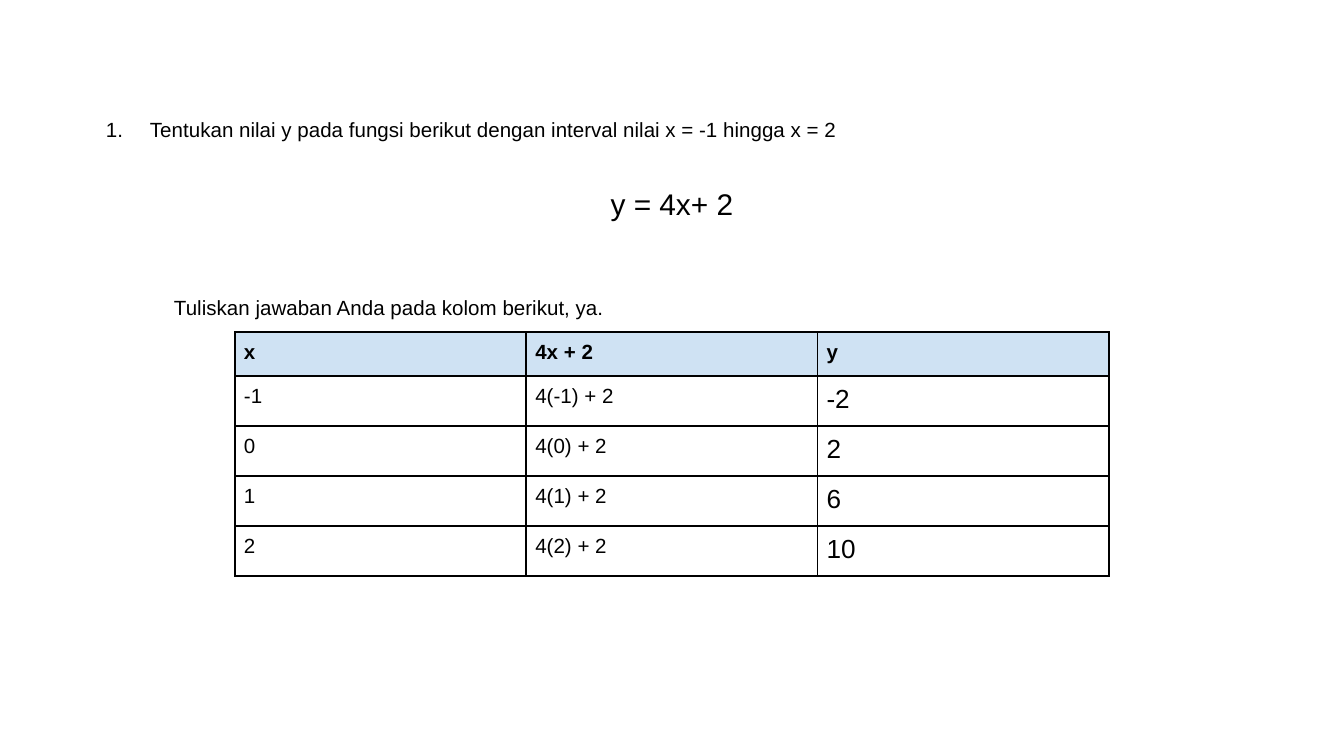
from dataclasses import dataclass
from lxml.etree import SubElement
from pptx import Presentation
from pptx.dml.color import RGBColor
from pptx.enum.text import MSO_ANCHOR, PP_ALIGN
from pptx.oxml import parse_xml
from pptx.oxml.ns import nsdecls, qn
from pptx.util import Pt


@dataclass(frozen=True)
class Theme:
    font: str = "Arial"
    ink: str = "000000"
    head: str = "CFE2F3"
    body: int = 11
    value: int = 14
    large: int = 16
    rule: int = 1


THEME = Theme()
SCALE = 914400 / 134.4


def px(size):
    return round(size * SCALE)


def write(para, text, size=THEME.body, bold=False, align=PP_ALIGN.LEFT,
          lead=None, before=None):
    para.alignment = align
    para.line_spacing = lead
    if before:
        para.space_before = Pt(before)
    run = para.add_run()
    run.text = text
    run.font.name = THEME.font
    run.font.size = Pt(size)
    run.font.bold = bold
    run.font.color.rgb = RGBColor.from_string(THEME.ink)


def number(para, left, hang):
    props = para._p.get_or_add_pPr()
    props.set("marL", str(px(left)))
    props.set("indent", str(-px(hang)))
    color = SubElement(props, qn("a:buClr"))
    SubElement(color, qn("a:srgbClr"), val=THEME.ink)
    SubElement(props, qn("a:buAutoNum"), type="arabicPeriod")


def frame(slide, box, anchor=MSO_ANCHOR.TOP):
    body = slide.shapes.add_textbox(*map(px, box)).text_frame
    body.word_wrap = True
    body.vertical_anchor = anchor
    body.margin_left = body.margin_right = px(13)
    body.margin_top = body.margin_bottom = px(13)
    return body


def question(slide, box, text, rule):
    body = frame(slide, box)
    first = body.paragraphs[0]
    write(first, text, lead=1.15)
    number(first, left=67, hang=44)
    write(body.add_paragraph(), rule, size=THEME.large,
          align=PP_ALIGN.CENTER, lead=1.15, before=21)


def prompt(slide, box, text):
    body = frame(slide, box, MSO_ANCHOR.MIDDLE)
    write(body.paragraphs[0], text, lead=1.15)


def border(cell):
    props = cell._tc.get_or_add_tcPr()
    for place, side in enumerate("LRTB"):
        line = parse_xml(
            f'<a:ln{side} {nsdecls("a")} w="{Pt(THEME.rule)}"><a:solidFill>'
            f'<a:srgbClr val="{THEME.ink}"/></a:solidFill></a:ln{side}>')
        props.insert(place, line)


def answers(slide, box, head, rows):
    left, top, width, height = box
    data = [head, *rows]
    table = slide.shapes.add_table(
        len(data), len(head), *map(px, box)).table
    table.first_row = table.horz_banding = False
    for col in table.columns:
        col.width = px(width / len(head))
    top_row = 44
    for r, texts in enumerate(data):
        table.rows[r].height = px(
            (height - top_row) / len(rows) if r else top_row)
        for c, text in enumerate(texts):
            cell = table.cell(r, c)
            cell.margin_left = cell.margin_right = px(9)
            cell.margin_top = cell.margin_bottom = px(9)
            if r:
                cell.fill.background()
            else:
                cell.fill.solid()
                cell.fill.fore_color.rgb = RGBColor.from_string(THEME.head)
            border(cell)
            result = r > 0 and c == len(head) - 1
            write(cell.text_frame.paragraphs[0], text, bold=r == 0,
                  size=THEME.value if result else THEME.body)


def main():
    deck = Presentation()
    deck.slide_width, deck.slide_height = px(1344), px(756)
    slide = deck.slides.add_slide(deck.slide_layouts[6])
    question(slide, (70, 100, 1204, 133),
             "Tentukan nilai y pada fungsi berikut dengan interval nilai "
             "x = -1 hingga x = 2", "y = 4x+ 2")
    prompt(slide, (161, 280, 874, 51),
           "Tuliskan jawaban Anda pada kolom berikut, ya.")
    rows = [(str(x), f"4({x}) + 2", str(4 * x + 2)) for x in range(-1, 3)]
    answers(slide, (235, 332, 874, 244), ("x", "4x + 2", "y"), rows)
    deck.save("out.pptx")


main()
